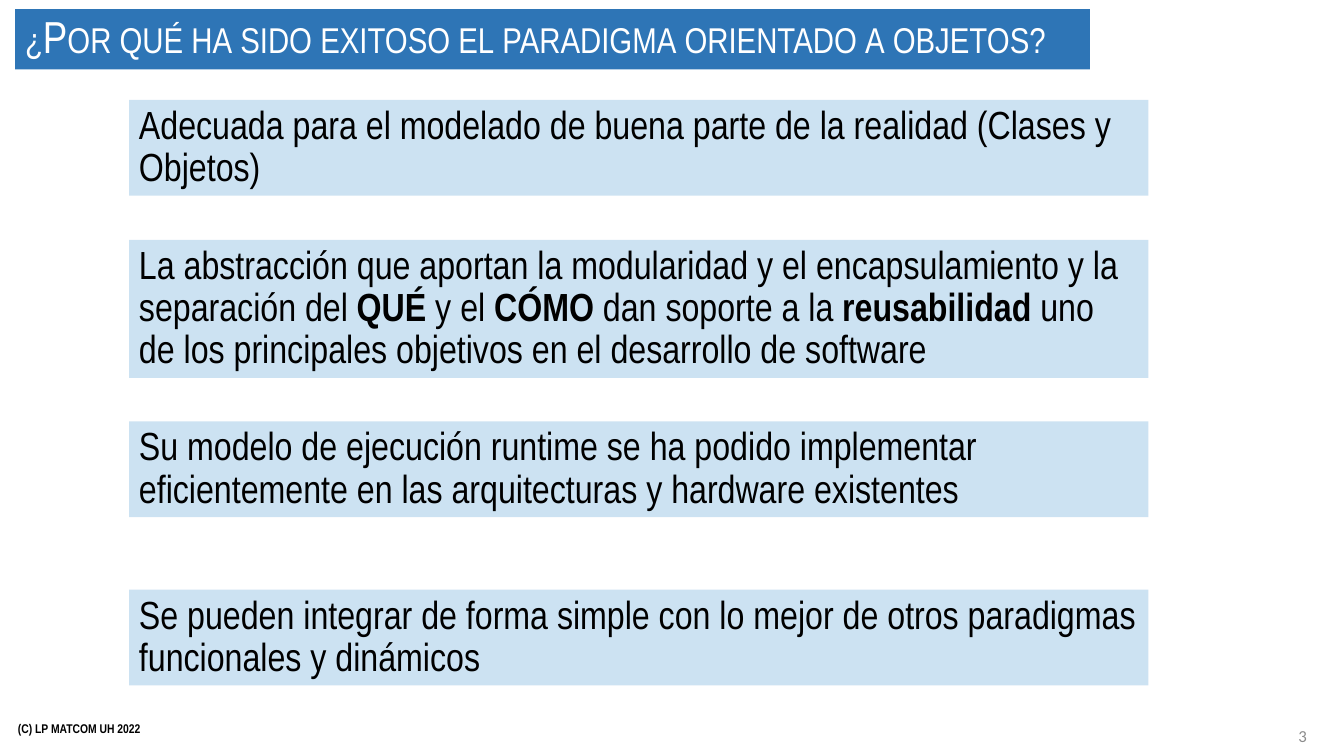
from pptx import Presentation
from pptx.dml.color import RGBColor
from pptx.enum.shapes import MSO_SHAPE as Shape
from pptx.enum.text import MSO_ANCHOR as Anchor, MSO_AUTO_SIZE as AutoSize, PP_ALIGN as Align
from pptx.oxml.ns import qn
from pptx.util import Inches, Pt
from lxml import etree

COLORS = {"title": "2E75B6", "reason": "0070C0", "white": "FFFFFF",
          "black": "000000", "number": "8C8C8C"}
NARROW = "Arial Narrow"

TITLE = "¿Por qué ha sido exitoso el paradigma orientado a objetos?"
FOOTER = "(C) LP MATCOM UH 2022"
NUMBER = "3"

REASONS = [
    (0.99, 0.95, [("Adecuada para el modelado de buena parte de la realidad "
                   "(Clases y Objetos)", False)]),
    (2.38, 1.37, [("La abstracción que aportan la modularidad y el encapsulamiento "
                   "y la separación del ", False),
                  ("QUÉ", True), (" y el ", False), ("CÓMO ", True),
                  ("dan soporte a la ", False), ("reusabilidad ", True),
                  ("uno de los principales objetivos en el desarrollo de software", False)]),
    (4.18, 0.95, [("Su modelo de ejecución runtime se ha podido implementar "
                   "eficientemente en las arquitecturas y hardware existentes", False)]),
    (5.85, 0.95, [("Se pueden integrar de forma simple con lo mejor de otros "
                   "paradigmas funcionales y dinámicos", False)]),
]
REASON_LEFT, REASON_WIDTH = 1.28, 10.11
REASON_OPACITY = 20

presentation = Presentation()
presentation.slide_width = Inches(13.33)
presentation.slide_height = Inches(7.5)
slide = presentation.slides.add_slide(presentation.slide_layouts[6])


def write(shape, runs, size, color, font=NARROW, align=Align.LEFT, spacing=1.0):
    frame = shape.text_frame
    frame.word_wrap = True
    frame.vertical_anchor = Anchor.MIDDLE
    paragraph = frame.paragraphs[0]
    paragraph.alignment = align
    paragraph.line_spacing = spacing
    for text, bold in runs:
        run = paragraph.add_run()
        run.text = text
        run.font.name = font
        run.font.size = Pt(size)
        run.font.bold = bold
        run.font.color.rgb = RGBColor.from_string(COLORS[color])
    return paragraph


def add_box(left, top, width, height, color):
    shape = slide.shapes.add_shape(Shape.RECTANGLE, *map(Inches, (left, top, width, height)))
    shape.shadow.inherit = False
    shape.fill.solid()
    shape.fill.fore_color.rgb = RGBColor.from_string(COLORS[color])
    shape.line.fill.background()
    return shape


def add_label(left, top, width, height):
    return slide.shapes.add_textbox(*map(Inches, (left, top, width, height)))


write(add_label(0.08, 7.03, 4.5, 0.4), [(FOOTER, True)], 9, "black")

title = add_box(0.15, 0.09, 10.66, 0.6, "title")
heading = write(title, [(TITLE, False)], 32, "white", spacing=0.9)
heading.runs[0].font._element.set("cap", "small")

write(add_label(10.06, 7.1, 3, 0.4), [(NUMBER, False)], 12, "number", "Calibri", Align.RIGHT)

for top, height, runs in REASONS:
    reason = add_box(REASON_LEFT, top, REASON_WIDTH, height, "reason")
    fill_color = reason._element.spPr.find(qn("a:solidFill"))[0]
    etree.SubElement(fill_color, qn("a:alpha"), val=str(REASON_OPACITY * 1000))
    write(reason, runs, 28, "black", spacing=0.9)
    reason.text_frame.auto_size = AutoSize.SHAPE_TO_FIT_TEXT

presentation.save("out.pptx")
